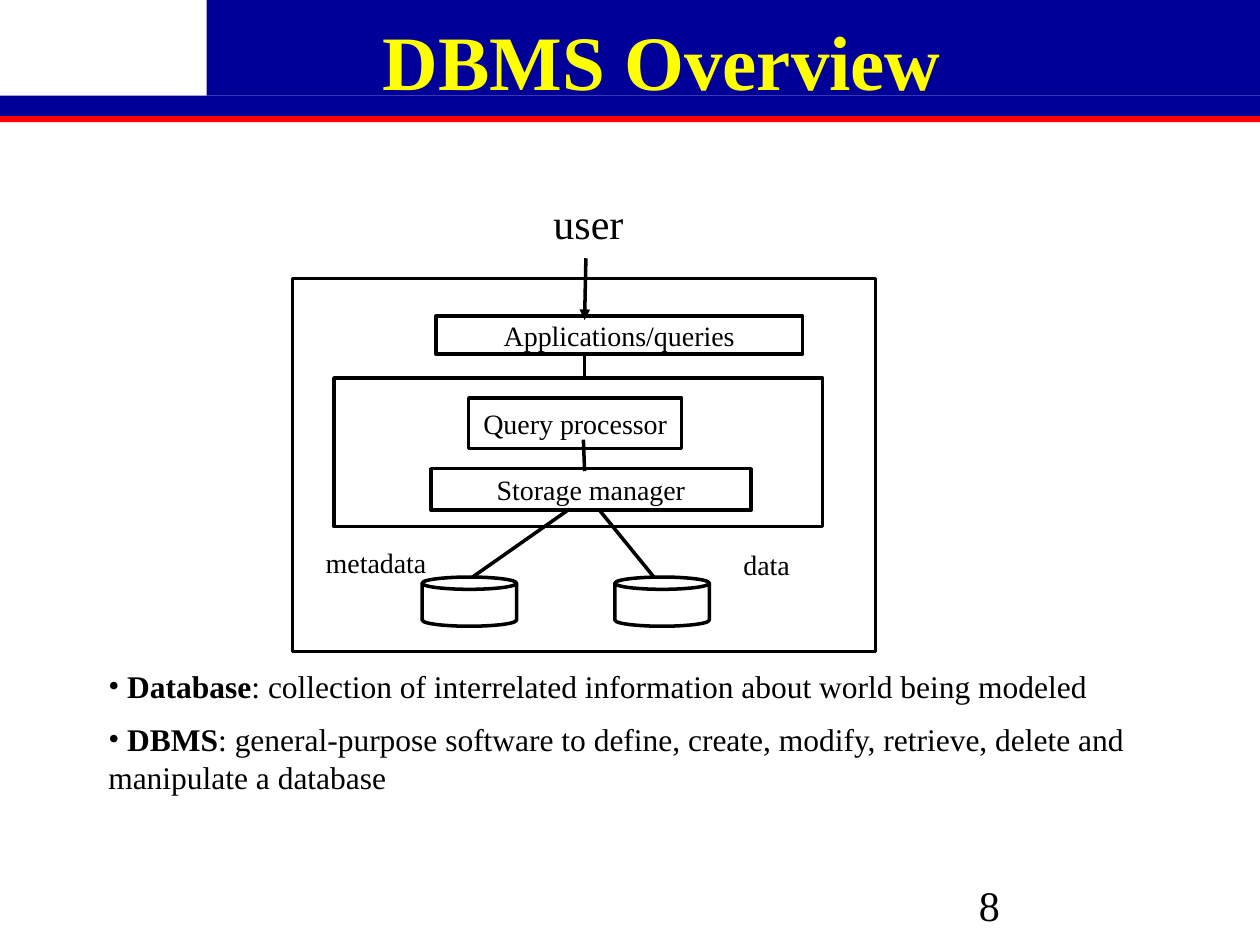
import pptx
import pptx.util
import pptx.dml.color
import pptx.enum.shapes
import pptx.enum.text
import pptx.oxml.ns
from lxml import etree

Inches, Pt = pptx.util.Inches, pptx.util.Pt
RGBColor = pptx.dml.color.RGBColor
Shape = pptx.enum.shapes.MSO_SHAPE
Align = pptx.enum.text.PP_ALIGN
Anchor = pptx.enum.text.MSO_ANCHOR
qn = pptx.oxml.ns.qn

BLACK = RGBColor(0x00, 0x00, 0x00)
NAVY = RGBColor(0x00, 0x00, 0x99)
RED = RGBColor(0xFF, 0x00, 0x00)
YELLOW = RGBColor(0xFF, 0xFF, 0x00)
FONT = "Times New Roman"

# Content: positions are (left, top, width, height) in inches
TITLE = "DBMS Overview"
TITLE_AT = (1.37, 0, 7.77, 0.89)
DEFINITIONS = [
    ("Database", ": collection of interrelated information about world being modeled"),
    ("DBMS", ": general-purpose software to define, create, modify, retrieve, "
             "delete and manipulate a database"),
]
DEFINITIONS_AT = (0.76, 5.24, 8.48, 1.16)
BANDS = [
    ((0, 0.92, 10, 0.05), RED),
    ((1.64, 0, 8.36, 0.76), NAVY),
    ((0, 0.76, 10, 0.16), NAVY),
]
BOXES = [
    ("", (2.32, 2.21, 4.63, 2.96)),
    ("Applications/queries", (3.46, 2.51, 2.91, 0.3)),
    ("", (2.65, 3, 3.88, 1.18)),
    ("Query processor", (3.72, 3.16, 1.69, 0.4)),
    ("Storage manager", (3.42, 3.72, 2.54, 0.33)),
]
STORES = [(left, 4.58, 0.75, 0.39) for left in (3.35, 4.88)]
LINKS = [  # start, end, has arrowhead
    ((4.64, 2.8), (4.64, 3), False),
    ((4.63, 3.49), (4.64, 3.74), False),
    ((4.52, 4.04), (3.75, 4.58), False),
    ((4.75, 4.04), (5.19, 4.58), False),
    ((4.65, 2.05), (4.64, 2.54), True),
]
LABELS = [
    ("user", (4.29, 1.52, 0.76, 0.5), 24),
    ("metadata", (2.48, 4.28, 1.01, 0.37), 16),
    ("data", (5.8, 4.29, 0.57, 0.37), 16),
]
PAGE_NUMBER = ("8", (7.67, 6.93, 2.08, 0.39))


def add_text(paragraph, text, size=16, color=BLACK, bold=False, align=Align.CENTER):
    paragraph.alignment = align
    run = paragraph.add_run()
    run.text = text
    run.font.name, run.font.size, run.font.bold = FONT, Pt(size), bold
    run.font.color.rgb = color


def prepare_frame(shape, anchor=Anchor.MIDDLE, wrap=False):
    frame = shape.text_frame
    frame.auto_size = pptx.enum.text.MSO_AUTO_SIZE.NONE
    frame.word_wrap, frame.vertical_anchor = wrap, anchor
    return frame


def place(shape, at):
    shape.left, shape.top, shape.width, shape.height = map(Inches, at)


def add_outline(slide, kind, at):
    shape = slide.shapes.add_shape(kind, *map(Inches, at))
    shape.shadow.inherit = False
    shape.fill.background()
    shape.line.color.rgb, shape.line.width = BLACK, Pt(2)
    return shape


def add_link(slide, start, end, arrow):
    connector = slide.shapes.add_connector(
        pptx.enum.shapes.MSO_CONNECTOR.STRAIGHT, *map(Inches, start + end))
    connector.line.color.rgb, connector.line.width = BLACK, Pt(2)
    if arrow:
        etree.SubElement(connector.line._get_or_add_ln(), qn("a:tailEnd"), type="triangle")
    etree.SubElement(connector._element.spPr, qn("a:effectLst"))


def add_bullet(paragraph):
    properties = paragraph._p.get_or_add_pPr()
    properties.set("marL", "0")
    properties.set("indent", str(Inches(-0.12)))
    color = etree.SubElement(properties, qn("a:buClr"))
    etree.SubElement(color, qn("a:srgbClr"), val=str(BLACK))
    etree.SubElement(properties, qn("a:buFont"), typeface=FONT)
    etree.SubElement(properties, qn("a:buChar"), char="•")


def main():
    presentation = pptx.Presentation()
    presentation.slide_width, presentation.slide_height = Inches(10), Inches(7.5)
    slide = presentation.slides.add_slide(presentation.slide_layouts[1])
    title, body = slide.shapes.title, slide.placeholders[1]

    # Header bands
    for at, color in BANDS:
        band = slide.shapes.add_shape(Shape.RECTANGLE, *map(Inches, at))
        band.shadow.inherit = False
        band.fill.solid()
        band.fill.fore_color.rgb = color
        band.line.fill.background()

    # Title, brought in front of the bands
    place(title, TITLE_AT)
    slide.shapes._spTree.append(title._element)
    frame = prepare_frame(title, anchor=Anchor.BOTTOM, wrap=True)
    add_text(frame.paragraphs[0], TITLE, size=44, color=YELLOW, bold=True)

    # Diagram
    for text, at in BOXES:
        box = add_outline(slide, Shape.RECTANGLE, at)
        if text:
            add_text(prepare_frame(box).paragraphs[0], text)
    for at in STORES:
        add_outline(slide, Shape.CAN, at).adjustments[0] = 0.25
    for start, end, arrow in LINKS:
        add_link(slide, start, end, arrow)
    for text, at, size in LABELS:
        label = slide.shapes.add_textbox(*map(Inches, at))
        add_text(prepare_frame(label).paragraphs[0], text, size=size)

    # Definitions
    place(body, DEFINITIONS_AT)
    frame = prepare_frame(body, anchor=Anchor.TOP, wrap=True)
    for index, (term, meaning) in enumerate(DEFINITIONS):
        paragraph = frame.add_paragraph() if index else frame.paragraphs[0]
        paragraph.space_before = Pt(9 if index else 0)
        add_bullet(paragraph)
        add_text(paragraph, " " + term, size=18, bold=True, align=Align.LEFT)
        add_text(paragraph, meaning, size=18, align=Align.LEFT)

    # Page number
    text, at = PAGE_NUMBER
    number = slide.shapes.add_textbox(*map(Inches, at))
    frame = prepare_frame(number, anchor=Anchor.TOP, wrap=True)
    add_text(frame.paragraphs[0], text, size=24, align=Align.LEFT)

    presentation.save("out.pptx")


if __name__ == "__main__":
    main()
